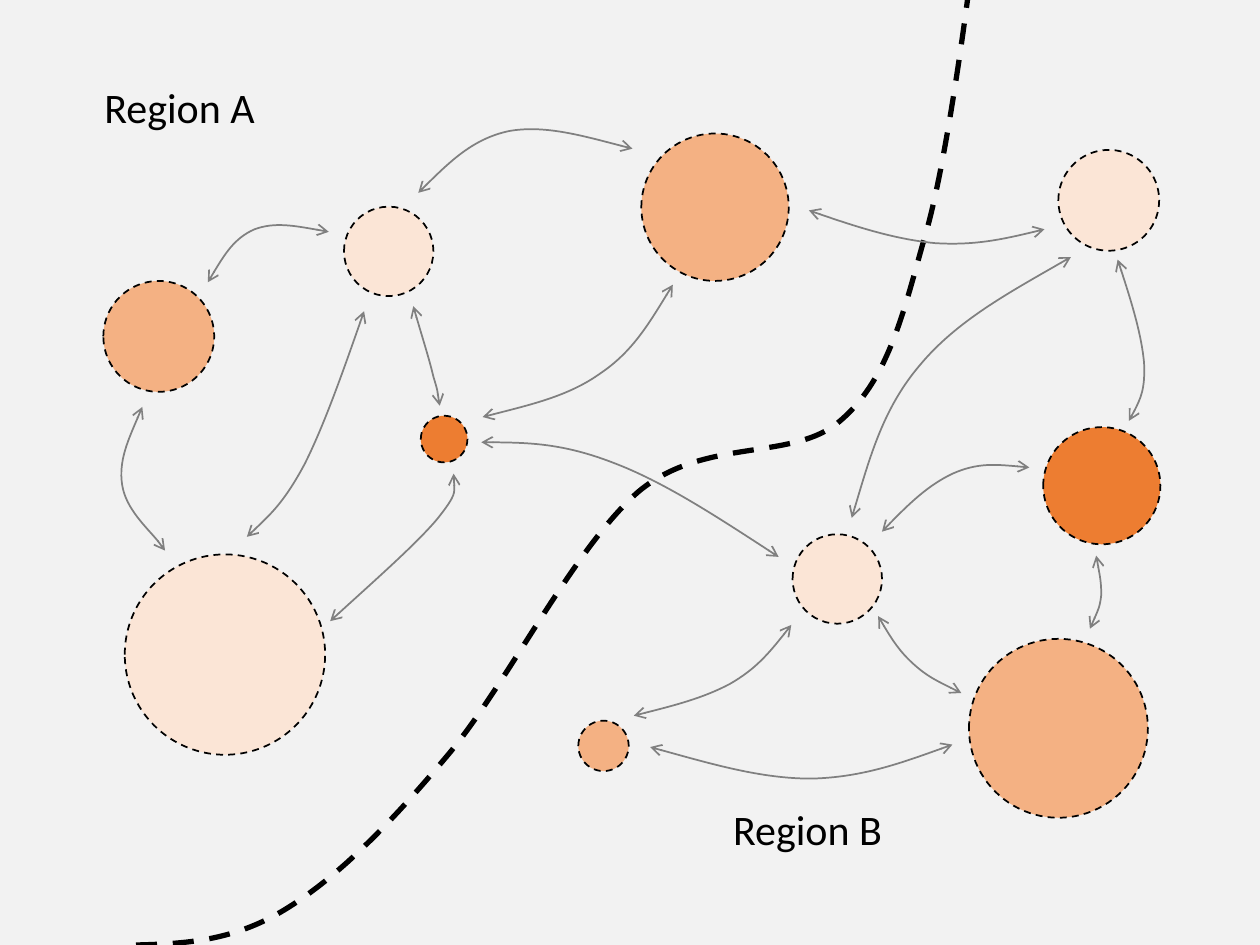
from lxml import etree
from pptx import Presentation
from pptx import util as u
from pptx.dml.color import RGBColor
from pptx.enum import dml, shapes
from pptx.oxml.ns import qn

PX = 9144
PAPER = RGBColor(0xF2, 0xF2, 0xF2)
BLACK = RGBColor(0, 0, 0)
GREY = RGBColor(0x80, 0x80, 0x80)
PALE = RGBColor(0xFB, 0xE5, 0xD6)
MEDIUM = RGBColor(0xF4, 0xB1, 0x83)
STRONG = RGBColor(0xED, 0x7D, 0x31)

BORDER = [(108, 750), (147, 749), (185, 747), (226, 722), (267, 697), (307, 657),
          (354, 601), (401, 546), (455, 435), (507, 390), (560, 346), (631, 367),
          (668, 333), (706, 300), (718, 244), (734, 188), (751, 132), (768, -1), (768, -1)]
CROSSINGS = [
    [(642, 167), (676, 179), (711, 190), (742, 193), (773, 195), (801, 189), (829, 182)],
    [(382, 351), (414, 351), (447, 352), (486, 367), (526, 382), (572, 412), (618, 442)],
]
CIRCLES_A = [(12, 163, 88, MEDIUM), (203, 104, 71, PALE), (29, 380, 159, PALE),
             (264, 270, 37, STRONG), (439, 46, 117, MEDIUM)]
LINKS_A = [
    [(43, 263), (34, 284), (24, 306), (27, 325), (30, 344), (55, 367), (61, 377)],
    [(95, 164), (105, 147), (116, 129), (132, 122), (148, 116), (169, 120), (191, 124)],
    [(262, 93), (284, 71), (306, 50), (334, 44), (362, 39), (397, 49), (432, 58)],
    [(258, 183), (264, 204), (271, 226), (274, 239), (278, 252), (279, 262), (279, 262)],
    [(192, 433), (226, 402), (261, 371), (277, 352), (293, 332), (291, 324), (290, 316)],
    [(126, 366), (141, 352), (156, 338), (172, 308), (187, 278), (203, 233), (219, 187)],
    [(464, 166), (448, 192), (432, 219), (407, 236), (382, 254), (348, 262), (313, 271)],
]
CIRCLES_B = [(9, 472, 40, MEDIUM), (179, 324, 71, PALE), (319, 407, 142, MEDIUM),
             (378, 239, 93, STRONG), (390, 19, 80, PALE)]
LINKS_B = [
    [(53, 468), (81, 461), (108, 454), (129, 443), (150, 431), (164, 414), (178, 396)],
    [(250, 322), (268, 303), (287, 285), (306, 276), (326, 267), (346, 269), (367, 271)],
    [(437, 106), (447, 136), (456, 166), (458, 188), (459, 209), (453, 222), (446, 234)],
    [(420, 341), (422, 352), (424, 362), (424, 372), (423, 382), (419, 390), (415, 399)],
    [(306, 491), (270, 504), (234, 517), (194, 518), (154, 518), (110, 505), (66, 493)],
    [(400, 104), (355, 130), (309, 155), (280, 190), (251, 224), (239, 268), (226, 311)],
    [(247, 389), (255, 403), (264, 417), (275, 427), (286, 437), (299, 443), (313, 450)],
]


def style_line(sp, color, width, dashed):
    """Set a shape's outline and remove its shadow."""
    sp.shadow.inherit = False
    sp.line.color.rgb = color
    sp.line.width = u.Pt(width)
    if dashed:
        sp.line.dash_style = dml.MSO_LINE.DASH


def add_curve(s, box, points, color, width, dashed=False):
    """Draw an open Bezier curve given as start, then control, control, end."""
    anchors = points[::3]
    builder = s.shapes.build_freeform(*anchors[0], scale=PX)
    builder.add_line_segments(anchors[1:], close=False)
    sp = builder.convert_to_shape(box[0] * PX, box[1] * PX)
    left, top = (min(axis) for axis in zip(*anchors))
    for i, segment in enumerate(sp._element.xpath(".//a:lnTo")):
        segment.tag = qn("a:cubicBezTo")
        for j, (x, y) in enumerate(points[3 * i + 1:3 * i + 3]):
            pt = etree.Element(qn("a:pt"), x=str(x - left), y=str(y - top))
            segment.insert(j, pt)
    sp.fill.background()
    style_line(sp, color, width, dashed)
    return sp


def add_link(s, box, points):
    """Draw a grey curve with an open arrow at both ends."""
    sp = add_curve(s, box, points, GREY, 1)
    ln = sp.line._get_or_add_ln()
    for end in ("a:headEnd", "a:tailEnd"):
        etree.SubElement(ln, qn(end), type="arrow")


def add_border(s, box):
    """Draw the dashed border between the regions."""
    add_curve(s, box, BORDER, BLACK, 3, dashed=True)


def add_region(s, box, name, name_box, circles, links):
    """Draw a region's circles, name and inner links."""
    left, top = box
    for x, y, size, color in circles:
        sp = s.shapes.add_shape(shapes.MSO_SHAPE.OVAL, (left + x) * PX, (top + y) * PX,
                                size * PX, size * PX)
        sp.fill.solid()
        sp.fill.fore_color.rgb = color
        style_line(sp, BLACK, 1, dashed=True)
    x, y, w, h = name_box
    tf = s.shapes.add_textbox((left + x) * PX, (top + y) * PX, w * PX, h * PX).text_frame
    tf.word_wrap = False
    p = tf.paragraphs[0]
    p.text = name
    p.font.name = "Calibri"
    p.font.size = u.Pt(24)
    p.font.color.rgb = BLACK
    for points in links:
        add_link(s, box, points)


def main():
    """Build the slide of two regions and save it."""
    prs = Presentation()
    prs.slide_width, prs.slide_height = 1000 * PX, 750 * PX
    s = prs.slides.add_slide(prs.slide_layouts[6])
    s.background.fill.solid()
    s.background.fill.fore_color.rgb = PAPER
    add_border(s, (0, 0))
    add_region(s, (70, 60), "Region A", (3, 0, 141, 50), CIRCLES_A, LINKS_A)
    add_region(s, (450, 100), "Region B", (122, 533, 139, 50), CIRCLES_B, LINKS_B)
    for points in CROSSINGS:
        add_link(s, (0, 0), points)
    prs.save("out.pptx")


if __name__ == "__main__":
    main()
